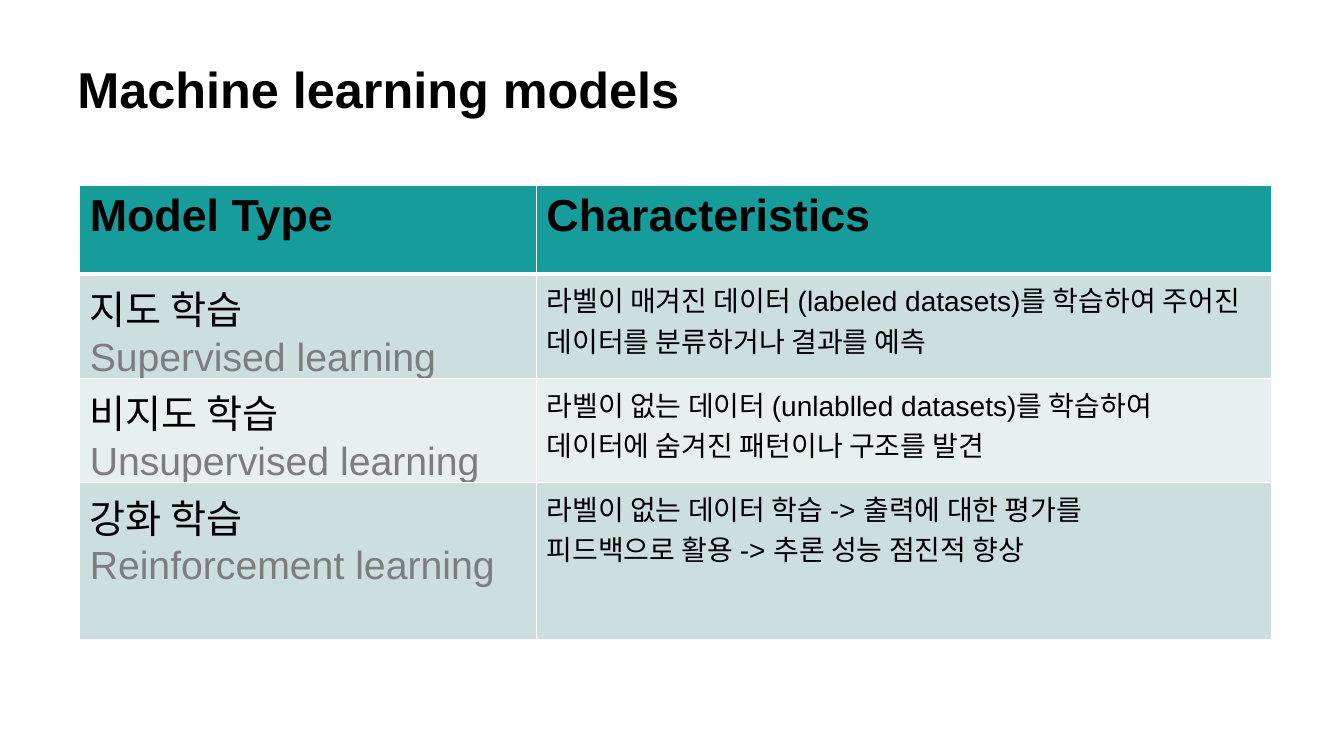
from lxml.etree import SubElement
from pptx import Presentation
from pptx.dml.color import RGBColor
from pptx.oxml.ns import qn
from pptx.util import Inches, Pt

TITLE = "Machine learning models"
HEADERS = ("Model Type", "Characteristics")
MODELS = [
    ("지도 학습", "Supervised learning",
     "라벨이 매겨진 데이터 (labeled datasets)를 학습하여 주어진 데이터를 분류하거나 결과를 예측"),
    ("비지도 학습", "Unsupervised learning",
     "라벨이 없는 데이터 (unlablled datasets)를 학습하여\v데이터에 숨겨진 패턴이나 구조를 발견"),
    ("강화 학습", "Reinforcement learning",
     "라벨이 없는 데이터 학습 -> 출력에 대한 평가를\v피드백으로 활용 -> 추론 성능 점진적 향상"),
]
COLORS = {"black": "000000", "gray": "7D7D7D", "rule": "FFFFFF",
          "header": "169C9A", "odd": "CCDEDE", "even": "E8EFEF"}
FORMATS = {
    "title": {"size": Pt(36), "bold": True, "color": "black"},
    "header": {"size": Pt(32), "bold": True, "color": "black"},
    "korean": {"size": Pt(28), "bold": False, "color": "black"},
    "english": {"size": Pt(28), "bold": False, "color": "gray"},
    "trait": {"size": Pt(20), "bold": False, "color": "black"},
}
COLUMN_WIDTHS = (4.53, 7.29)
ROW_HEIGHTS = (0.88, 0.93, 0.93, 1.56)


def write_lines(frame, lines):
    """Fill a text frame with (text, format name) paragraphs."""
    for i, (text, style) in enumerate(lines):
        paragraph = frame.paragraphs[0] if i == 0 else frame.add_paragraph()
        paragraph.text = text
        for run in paragraph.runs:
            run.font.name = "Arial"
            for key, value in FORMATS[style].items():
                if key == "color":
                    run.font.color.rgb = RGBColor.from_string(COLORS[value])
                else:
                    setattr(run.font, key, value)


def draw_borders(cell, top, bottom):
    """Rule all four sides of a cell; widths are in points."""
    for side, width in (("L", 1), ("R", 1), ("T", top), ("B", bottom)):
        line = SubElement(cell._tc.get_or_add_tcPr(), qn(f"a:ln{side}"), w=str(Pt(width)))
        SubElement(SubElement(line, qn("a:solidFill")), qn("a:srgbClr"), val=COLORS["rule"])


def main():
    deck = Presentation()
    deck.slide_width, deck.slide_height = Inches(13.33), Inches(7.5)
    slide = deck.slides.add_slide(deck.slide_layouts[6])

    title = slide.shapes.add_textbox(Inches(0.67), Inches(0.6), Inches(11.75), Inches(1.24))
    title.text_frame.word_wrap = True
    write_lines(title.text_frame, [(TITLE, "title")])
    title.text_frame.paragraphs[0].line_spacing = 0.9

    rows = [[[(header, "header")] for header in HEADERS]]
    rows += [[[(korean, "korean"), (english, "english")], [(trait, "trait")]]
             for korean, english, trait in MODELS]
    models = slide.shapes.add_table(
        len(rows), len(HEADERS), Inches(0.79), Inches(1.84),
        Inches(sum(COLUMN_WIDTHS)), Inches(sum(ROW_HEIGHTS))).table
    for column, width in zip(models.columns, COLUMN_WIDTHS):
        column.width = Inches(width)
    for r, (row, height) in enumerate(zip(rows, ROW_HEIGHTS)):
        models.rows[r].height = Inches(height)
        fill = "header" if r == 0 else "odd" if r % 2 else "even"
        for c, lines in enumerate(row):
            cell = models.cell(r, c)
            write_lines(cell.text_frame, lines)
            draw_borders(cell, top=3 if r == 1 else 1, bottom=3 if r == 0 else 1)
            cell.fill.solid()
            cell.fill.fore_color.rgb = RGBColor.from_string(COLORS[fill])

    deck.save("out.pptx")


if __name__ == "__main__":
    main()
